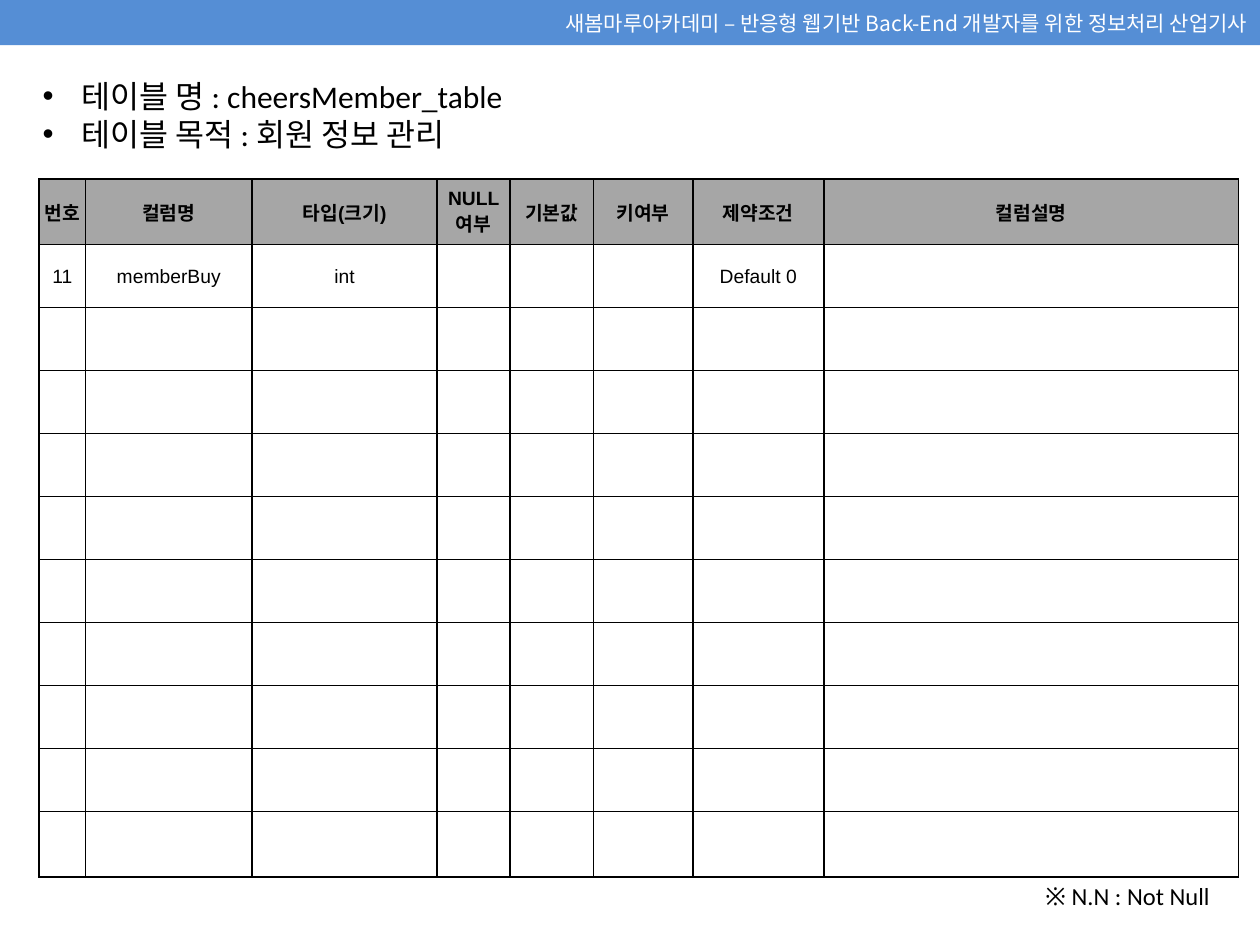
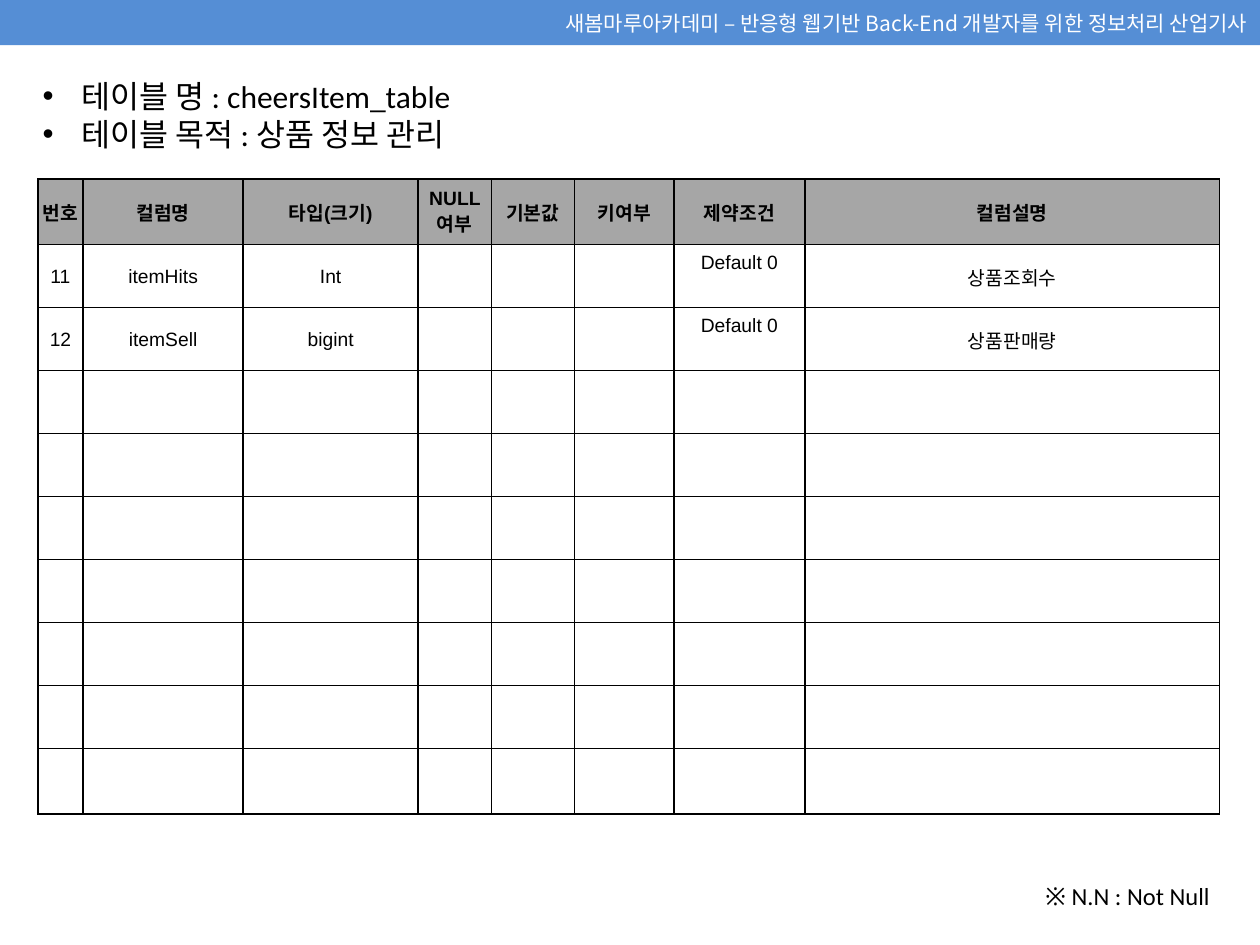
from lxml import etree
from pptx import Presentation
from pptx.dml.color import RGBColor
from pptx.enum.shapes import MSO_SHAPE
from pptx.enum.text import MSO_ANCHOR, MSO_AUTO_SIZE, PP_ALIGN
from pptx.oxml.ns import qn
from pptx.util import Emu, Pt

EMU_PER_PX = 9144  # 100 px to the inch
SLIDE_WIDTH, SLIDE_HEIGHT = 1000, 750

BLUE = RGBColor(0x55, 0x8E, 0xD5)
GRAY = RGBColor(0xA6, 0xA6, 0xA6)
BLACK = RGBColor(0, 0, 0)
WHITE = RGBColor(0xFF, 0xFF, 0xFF)

KOREAN_FONT = "Noto Sans CJK KR"
TEXT_FONT = "Calibri"
TABLE_FONT = "Arial"

LEFT, CENTER, RIGHT = PP_ALIGN.LEFT, PP_ALIGN.CENTER, PP_ALIGN.RIGHT
MIDDLE = MSO_ANCHOR.MIDDLE
RECTANGLE = MSO_SHAPE.RECTANGLE
GROW = MSO_AUTO_SIZE.SHAPE_TO_FIT_TEXT
BLANK_LAYOUT = 6

BAND_TEXT = "새봄마루아카데미 – 반응형 웹기반 Back-End 개발자를 위한 정보처리 산업기사"
NOTE_TEXT = "※ N.N : Not Null"
HEADERS = ["번호", "컬럼명", "타입(크기)", "NULL 여부",
           "기본값", "키여부", "제약조건", "컬럼설명"]
COMMON_WIDTHS = [58, 66, 79, 104, 329]
CONSTRAINT_COLUMN = HEADERS.index("제약조건")
EDGE_ROW_HEIGHT, ROW_HEIGHT = 52, 50

TABLES = [
    {
        "name": "cheersMember_table",
        "purpose": "회원 정보 관리",
        "left": 31,
        "first_widths": [37, 132, 147],
        "row_count": 11,
        "constraint_lift": 0,
        "rows": [["11", "memberBuy", "int", "", "", "", "Default 0", ""]],
    },
    {
        "name": "cheersItem_table",
        "purpose": "상품 정보 관리",
        "left": 30,
        "first_widths": [36, 127, 139],
        "row_count": 10,
        "constraint_lift": 22,
        "rows": [
            ["11", "itemHits", "Int", "", "", "", "Default 0", "상품조회수"],
            ["12", "itemSell", "bigint", "", "", "", "Default 0", "상품판매량"],
        ],
    },
]


def px(length):
    return Emu(length * EMU_PER_PX)


class Deck:
    def __init__(self):
        self.presentation = Presentation()
        self.presentation.slide_width = px(SLIDE_WIDTH)
        self.presentation.slide_height = px(SLIDE_HEIGHT)
        self.layout = self.presentation.slide_layouts[BLANK_LAYOUT]
        self.slide = None

    def add_slide(self):
        is_first = self.slide is None
        self.slide = self.presentation.slides.add_slide(self.layout)
        if is_first:
            self.add_layout_band()

    def add_layout_band(self):
        """Draw the header band and move it to the layout all slides share."""
        band = self.slide.shapes.add_shape(
            RECTANGLE, 0, 0, px(SLIDE_WIDTH), px(36))
        band.shadow.inherit = False
        band.fill.solid()
        band.fill.fore_color.rgb = BLUE
        band.line.fill.background()
        band.text_frame.vertical_anchor = MIDDLE
        self.set_text(band.text_frame.paragraphs[0], BAND_TEXT,
                      KOREAN_FONT, 12, RIGHT, WHITE)
        self.layout.shapes.element.append(band.element)

    def set_text(self, paragraph, text, font_name, size, alignment,
                 color=BLACK, bold=False):
        paragraph.text = text
        paragraph.alignment = alignment
        font = paragraph.font
        font.name, font.size, font.bold = font_name, Pt(size), bold
        font.color.rgb = color
        properties = paragraph._p.pPr.find(qn("a:defRPr"))
        etree.SubElement(properties, qn("a:ea"), typeface=KOREAN_FONT)

    def add_bullet(self, paragraph, indent):
        properties = paragraph._p.get_or_add_pPr()
        properties.set("marL", str(px(indent)))
        properties.set("indent", str(px(-indent)))
        font = etree.Element(qn("a:buFont"), typeface="Arial")
        bullet = etree.Element(qn("a:buChar"), char="•")
        properties.insert(0, font)
        properties.insert(1, bullet)

    def add_text(self, lines, left, top, width, height, size,
                 alignment=LEFT, bulleted=False):
        box = self.slide.shapes.add_textbox(
            px(left), px(top), px(width), px(height))
        frame = box.text_frame
        frame.word_wrap = True
        frame.auto_size = GROW
        for index, line in enumerate(lines):
            paragraph = frame.add_paragraph() if index else frame.paragraphs[0]
            self.set_text(paragraph, line, TEXT_FONT, size, alignment)
            if bulleted:
                self.add_bullet(paragraph, 31)

    def add_borders(self, cell):
        properties = cell._tc.get_or_add_tcPr()
        for side in ("lnL", "lnR", "lnT", "lnB"):
            line = etree.SubElement(properties, qn(f"a:{side}"), w=str(Pt(1)))
            fill = etree.SubElement(line, qn("a:solidFill"))
            etree.SubElement(fill, qn("a:srgbClr"), val=str(BLACK))

    def format_cell(self, cell, text, is_header):
        self.add_borders(cell)
        if is_header:
            cell.fill.solid()
            cell.fill.fore_color.rgb = GRAY
        else:
            cell.fill.background()
        cell.vertical_anchor = MIDDLE
        cell.margin_left = cell.margin_right = cell.margin_top = px(1)
        cell.margin_bottom = 0
        self.set_text(cell.text_frame.paragraphs[0], text, TABLE_FONT, 11,
                      CENTER, bold=is_header)

    def add_table(self, left, top, widths, heights, rows):
        frame = self.slide.shapes.add_table(
            len(heights), len(widths), px(left), px(top),
            px(sum(widths)), px(sum(heights)))
        table = frame.table
        table.first_row = table.horz_banding = False
        for column, width in zip(table.columns, widths):
            column.width = px(width)
        for row, height in zip(table.rows, heights):
            row.height = px(height)
        for row_index in range(len(heights)):
            texts = rows[row_index] if row_index < len(rows) else [""] * len(widths)
            for column_index, text in enumerate(texts):
                self.format_cell(table.cell(row_index, column_index), text,
                                 row_index == 0)
        return table


def add_table_slide(deck, definition):
    deck.add_slide()
    deck.add_text([f"테이블 명 : {definition['name']}",
                   f"테이블 목적 : {definition['purpose']}"],
                  24, 56, 949, 71, 18, bulleted=True)
    inner_heights = [ROW_HEIGHT] * (definition["row_count"] - 2)
    table = deck.add_table(
        definition["left"], 142,
        definition["first_widths"] + COMMON_WIDTHS,
        [EDGE_ROW_HEIGHT, *inner_heights, EDGE_ROW_HEIGHT],
        [HEADERS, *definition["rows"]])
    for row_index in range(1, len(definition["rows"]) + 1):
        cell = table.cell(row_index, CONSTRAINT_COLUMN)
        cell.margin_bottom = px(definition["constraint_lift"])
    deck.add_text([NOTE_TEXT], 815, 694, 155, 34, 14, RIGHT)


def main():
    deck = Deck()
    for definition in TABLES:
        add_table_slide(deck, definition)
    deck.presentation.save("out.pptx")


if __name__ == "__main__":
    main()
